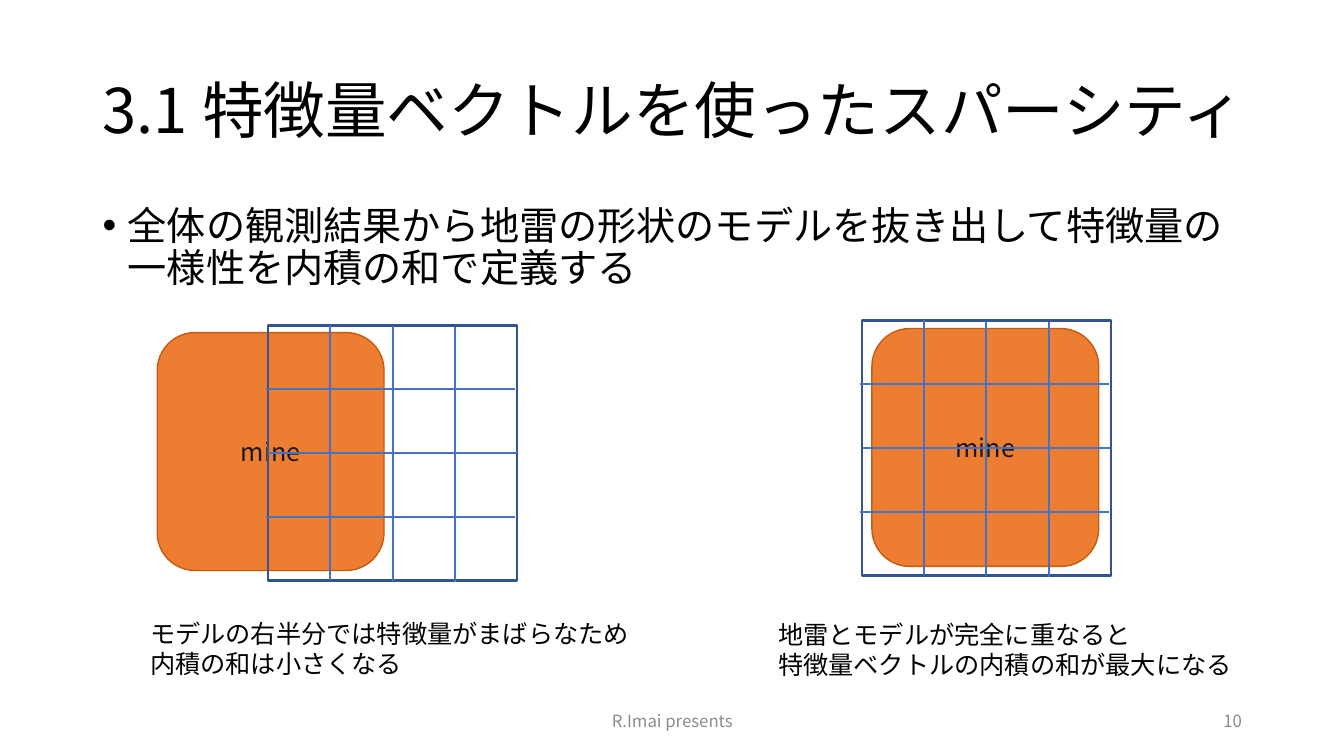
from lxml.etree import SubElement
from pptx import Presentation
from pptx.dml.color import RGBColor
from pptx.enum.shapes import MSO_CONNECTOR as CONN, MSO_SHAPE as SHAPE
from pptx.enum.text import MSO_ANCHOR as ANCHOR, MSO_AUTO_SIZE as AUTO, PP_ALIGN as ALIGN
from pptx.oxml.ns import qn
from pptx.util import Inches, Pt

FONT = "Noto Sans CJK JP"
COLS, ROWS, CELL = 133.33, 75, 0.1
GRID_N, GRID_W, GRID_H = 4, 24.7, 25.3
MINE_W, MINE_H = 22.5, 23.6
ROW_SHIFT = {1: -0.2, 2: 0, 3: -0.2}
COL_SHIFT = {1: -0.1, 2: 0, 3: 0.1}

TITLE = "3.1 特徴量ベクトルを使ったスパーシティ"
BODY = "全体の観測結果から地雷の形状のモデルを抜き出して特徴量の一様性を内積の和で定義する"
FOOTERS = [
    ("10", (94.2, 69.5, 30, 4), ALIGN.RIGHT),
    ("R.Imai presents", (44.2, 69.5, 45, 4), ALIGN.CENTER),
]
FIGURES = [
    {"mine": (15.6, 33), "grid": (26.6, 32.3), "note": (13.9, 60.8, 50, 7.1),
     "text": ["モデルの右半分では特徴量がまばらなため", "内積の和は小さくなる"]},
    {"mine": (86.5, 32.6), "grid": (85.5, 31.8), "note": (76.2, 60.9, 47.5, 7.1),
     "text": ["地雷とモデルが完全に重なると", "特徴量ベクトルの内積の和が最大になる"]},
]


def rgb(color):
    return RGBColor.from_string(color)


def cells(*values):
    return [Inches(v * CELL) for v in values]


def style_line(s, color, width):
    s.line.color.rgb = rgb(color)
    s.line.width = Pt(width)


def write(s, lines, size, color="000000", para=None, bullet=False, **frame):
    tf = s.text_frame
    for name, value in frame.items():
        setattr(tf, name, value)
    for i, line in enumerate(lines):
        p = tf.paragraphs[0] if i == 0 else tf.add_paragraph()
        for name, value in (para or {}).items():
            setattr(p, name, value)
        if bullet:
            pPr = p._p.get_or_add_pPr()
            pPr.set("marL", str(Inches(0.25)))
            pPr.set("indent", str(-Inches(0.25)))
            SubElement(pPr, qn("a:buFont"), typeface="Arial")
            SubElement(pPr, qn("a:buChar"), char="•")
        r = p.add_run()
        r.text = line
        r.font.size = Pt(size)
        r.font.color.rgb = rgb(color)
        r.font.name = FONT
        SubElement(r._r.get_or_add_rPr(), qn("a:ea"), typeface=FONT)


def text_box(slide, box, lines, size, **options):
    s = slide.shapes.add_textbox(*cells(*box))
    write(s, lines, size, **{"word_wrap": True, **options})


def add_mine(slide, left, top):
    s = slide.shapes.add_shape(SHAPE.ROUNDED_RECTANGLE, *cells(left, top, MINE_W, MINE_H))
    s.shadow.inherit = False
    s.fill.solid()
    s.fill.fore_color.rgb = rgb("ED7D31")
    style_line(s, "C55A11", 1)
    write(s, ["mine"], 18, "181717", {"alignment": ALIGN.CENTER},
          vertical_anchor=ANCHOR.MIDDLE)


def add_line(group, frame, ends, sides):
    s = group.shapes.add_connector(CONN.STRAIGHT, *cells(*ends))
    style_line(s, "4472C4", 1.5)
    SubElement(s._element.spPr, qn("a:effectLst"))
    if sides:
        s.begin_connect(frame, sides[0])
        s.end_connect(frame, sides[1])


def add_grid(slide, left, top):
    group = slide.shapes.add_group_shape()
    frame = group.shapes.add_shape(SHAPE.RECTANGLE, *cells(left, top, GRID_W, GRID_H))
    frame.shadow.inherit = False
    frame.fill.background()
    style_line(frame, "325491", 1.5)
    for k in range(1, GRID_N):
        middle = 2 * k == GRID_N
        x, y = left + GRID_W * k / GRID_N, top + COL_SHIFT[k]
        add_line(group, frame, (x, y, x, y + GRID_H), (0, 2) if middle else None)
        x, y = left + ROW_SHIFT[k], top + GRID_H * k / GRID_N
        add_line(group, frame, (x, y, x + GRID_W, y), (1, 3) if middle else None)


def main():
    prs = Presentation()
    prs.slide_width, prs.slide_height = cells(COLS, ROWS)
    slide = prs.slides.add_slide(prs.slide_layouts[6])
    text_box(slide, (9.2, 4, 117, 14.5), [TITLE], 44, para={"line_spacing": 0.9},
             vertical_anchor=ANCHOR.MIDDLE)
    text_box(slide, (9.2, 20, 115, 47.6), [BODY], 28, para={"line_spacing": 0.9},
             bullet=True)
    for fig in FIGURES:
        add_mine(slide, *fig["mine"])
        add_grid(slide, *fig["grid"])
        text_box(slide, fig["note"], fig["text"], 18, word_wrap=False,
                 auto_size=AUTO.SHAPE_TO_FIT_TEXT)
    for text, box, align in FOOTERS:
        text_box(slide, box, [text], 12, color="8C8C8C", para={"alignment": align},
                 vertical_anchor=ANCHOR.MIDDLE)
    prs.save("out.pptx")


if __name__ == "__main__":
    main()
